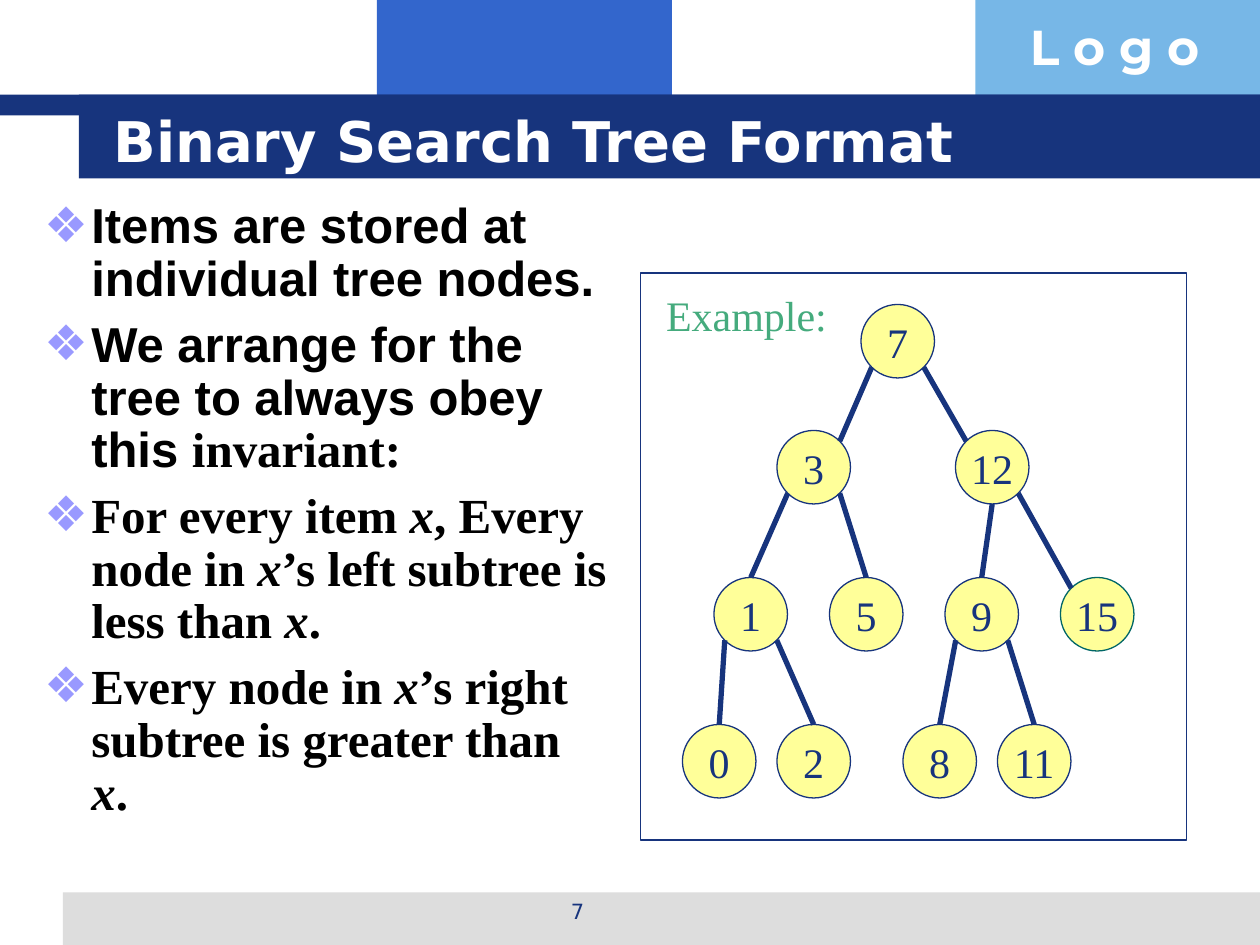
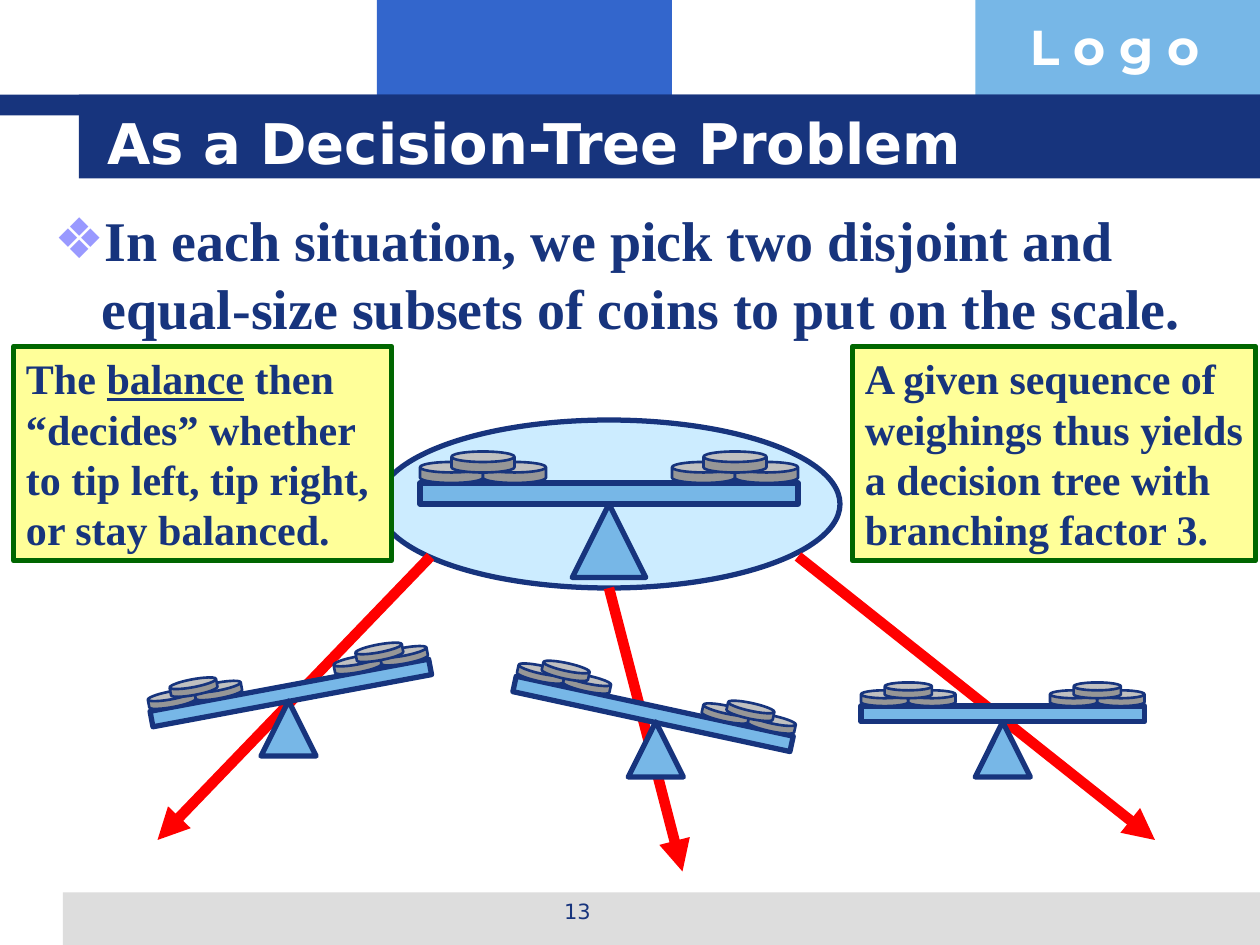
from dataclasses import dataclass, replace
from math import cos, radians, sin

from lxml.etree import SubElement
from pptx import Presentation
from pptx.dml.color import RGBColor
from pptx.enum.shapes import MSO_CONNECTOR as Connector, MSO_SHAPE as Preset
from pptx.enum.text import MSO_ANCHOR as Anchor, MSO_AUTO_SIZE as AutoSize, PP_ALIGN as Align
from pptx.oxml.ns import qn
from pptx.util import Emu, Pt

EMU_PER_PX = 7620


@dataclass(frozen=True)
class Style:
    """Character formatting of a run."""
    font: str
    size: int
    color: str
    bold: bool = False
    italic: bool = False
    underline: bool = False


@dataclass(frozen=True)
class Theme:
    """Colours and text styles shared by the slides."""
    navy: str = "17347D"
    blue: str = "3366CC"
    sky: str = "77B7E7"
    pale: str = "CCECFF"
    grey: str = "DDDDDD"
    coin: str = "969696"
    white: str = "FFFFFF"
    yellow: str = "FFFF99"
    green: str = "006600"
    teal: str = "006666"
    red: str = "FF0000"
    bullet: str = "9999FF"
    title: Style = Style("DejaVu Sans", 32, "FFFFFF", True)
    label: Style = Style("Montserrat", 28, "FFFFFF", True)
    number: Style = Style("DejaVu Sans", 12, "17347D")
    list_sans: Style = Style("Arial", 28, "000000", True)
    list_serif: Style = Style("Times New Roman", 28, "000000", True)
    lead: Style = Style("Times New Roman", 32, "17347D", True)
    node: Style = Style("Times New Roman", 24, "17347D")
    example: Style = Style("Times New Roman", 24, "45AB7D")
    note: Style = Style("Times New Roman", 24, "17347D", True)


THEME = Theme()

NODES = {
    "7": (855, 325), "3": (775, 445), "12": (945, 445),
    "1": (715, 585), "5": (825, 585), "9": (935, 585), "15": (1045, 585),
    "0": (685, 725), "2": (775, 725), "8": (895, 725), "11": (985, 725),
}
NODE_RADIUS = 35
SITES = {"top": 270, "top left": 225, "top right": 315,
         "bottom": 90, "bottom left": 135, "bottom right": 45}
EDGES = [
    ("7", "bottom left", "3", "top right"), ("7", "bottom right", "12", "top left"),
    ("12", "bottom", "9", "top"), ("12", "bottom right", "15", "top left"),
    ("9", "bottom right", "11", "top"), ("9", "bottom left", "8", "top"),
    ("3", "bottom right", "5", "top"), ("3", "bottom left", "1", "top"),
    ("1", "bottom left", "0", "top"), ("1", "bottom right", "2", "top"),
]
COIN_OFFSETS = [(side + dx, dy) for side in (-120, 120)
                for dx, dy in ((-30, -20), (30, -20), (0, -30))]


def px(value):
    """Convert pixels to EMU."""
    return Emu(round(value * EMU_PER_PX))


def rgb(color):
    """Convert a hex string to a colour."""
    return RGBColor.from_string(color)


def add_runs(paragraph, runs):
    """Add (text, style) runs, turning newlines into line breaks."""
    for text, style in runs:
        for index, line in enumerate(text.split("\n")):
            if index:
                paragraph.add_line_break()
            run = paragraph.add_run()
            run.text = line
            font = run.font
            font.name, font.size = style.font, Pt(style.size)
            font.bold, font.italic, font.underline = style.bold, style.italic, style.underline
            font.color.rgb = rgb(style.color)


def fill_text(shape, runs, align=Align.LEFT, anchor=Anchor.TOP, wrap=False):
    """Write one formatted paragraph into a shape."""
    frame = shape.text_frame
    frame.word_wrap, frame.vertical_anchor = wrap, anchor
    paragraph = frame.paragraphs[0]
    paragraph.alignment = align
    add_runs(paragraph, runs)


def add_preset(shapes, preset, box, fill, line=None, weight=0.75):
    """Add a flat preset shape at a (left, top, width, height) box."""
    shape = shapes.add_shape(preset, *map(px, box))
    shape.shadow.inherit = False
    shape.fill.solid()
    shape.fill.fore_color.rgb = rgb(fill)
    if line:
        shape.line.color.rgb = rgb(line)
        shape.line.width = Pt(weight)
    else:
        shape.line.fill.background()
    return shape


def add_line(slide, start, end, color, weight, arrow=False):
    """Add a straight connector, with an arrowhead at its end if asked."""
    connector = slide.shapes.add_connector(Connector.STRAIGHT, *map(px, (*start, *end)))
    connector.line.color.rgb = rgb(color)
    connector.line.width = Pt(weight)
    properties = connector.element.spPr
    if arrow:
        SubElement(properties.find(qn("a:ln")), qn("a:tailEnd"), type="triangle")
    SubElement(properties, qn("a:effectLst"))


def add_label(slide, box, text, style, align=Align.LEFT, wrap=True):
    """Add a one-line text box."""
    label = slide.shapes.add_textbox(*map(px, box))
    fill_text(label, [(text, style)], align, wrap=wrap)
    return label


def place(placeholder, box):
    """Move a placeholder to a box and switch off its autofit."""
    placeholder.left, placeholder.top, placeholder.width, placeholder.height = map(px, box)
    placeholder.text_frame.auto_size = AutoSize.NONE


def set_title(slide, box, text):
    """Fill the title placeholder."""
    place(slide.shapes.title, box)
    fill_text(slide.shapes.title, [(text, THEME.title)], anchor=Anchor.MIDDLE, wrap=True)


def set_bullets(slide, box, items, line_spacing, gap):
    """Fill the body placeholder with bulleted paragraphs."""
    body = slide.placeholders[1]
    place(body, box)
    for index, runs in enumerate(items):
        frame = body.text_frame
        paragraph = frame.add_paragraph() if index else frame.paragraphs[0]
        properties = paragraph._p.get_or_add_pPr()
        properties.set("marL", str(px(45)))
        properties.set("indent", str(px(-45)))
        bullet_color = SubElement(properties, qn("a:buClr"))
        SubElement(bullet_color, qn("a:srgbClr"), val=THEME.bullet)
        SubElement(properties, qn("a:buChar"), char="❖")
        paragraph.line_spacing = line_spacing
        paragraph.space_before = Pt(gap if index else 0)
        add_runs(paragraph, runs)


def add_frame(slide, layout):
    """Draw the shared bands and label, then hand them to the layout."""
    bands = [
        ((359, 0, 281, 110), THEME.blue), ((929, 0, 271, 110), THEME.sky),
        ((60, 850, 1140, 50), THEME.grey), ((0, 90, 1200, 20), THEME.navy),
        ((75, 90, 1125, 80), THEME.navy),
    ]
    parts = [add_preset(slide.shapes, Preset.RECTANGLE, box, fill) for box, fill in bands]
    parts.append(add_label(slide, (969, 10, 231, 68), "L o g o", THEME.label))
    for number, part in enumerate(parts, 100):
        part.element.xpath(".//p:cNvPr")[0].set("id", str(number))
        layout.shapes.element.append(part.element)


def add_page_number(slide, number):
    """Write the page number in the footer band."""
    add_label(slide, (410, 850, 280, 42), str(number), THEME.number, Align.CENTER)


def node_site(name, site):
    """Return the point of a node's rim at a named site."""
    x, y = NODES[name]
    angle = radians(SITES[site])
    return x + NODE_RADIUS * cos(angle), y + NODE_RADIUS * sin(angle)


def add_tree(slide):
    """Draw the search tree: nodes first, then edges."""
    size = 2 * NODE_RADIUS
    for name, (x, y) in NODES.items():
        outline = THEME.teal if name == "15" else THEME.navy
        box = (x - NODE_RADIUS, y - NODE_RADIUS, size, size)
        node = add_preset(slide.shapes, Preset.OVAL, box, THEME.yellow, outline)
        fill_text(node, [(name, THEME.node)], Align.CENTER, Anchor.MIDDLE)
    for parent, parent_site, child, child_site in EDGES:
        add_line(slide, node_site(parent, parent_site), node_site(child, child_site),
                 THEME.navy, 3)


def add_balance(slide, x, y, scale=0.75, tilt=0):
    """Draw a balance with its beam centred at (x, y) and tilted in degrees."""
    shapes = slide.shapes.add_group_shape().shapes
    sine, cosine = sin(radians(tilt)), cos(radians(tilt))

    def add_part(preset, dx, dy, width, height, fill, weight, rotation):
        width, height = width * scale, height * scale
        box = (x + dx - width / 2, y + dy - height / 2, width, height)
        part = add_preset(shapes, preset, box, fill, THEME.navy, weight)
        part.rotation = rotation
        return part

    add_part(Preset.RECTANGLE, 0, 0, 360, 20, THEME.sky, 3, tilt)
    add_part(Preset.ISOSCELES_TRIANGLE, 12 * sine, 45 * scale, 70, 70, THEME.sky, 3, 0)
    for dx, dy in COIN_OFFSETS:
        dx, dy = dx * scale, dy * scale
        coin = add_part(Preset.CAN, dx * cosine - dy * sine, dx * sine + dy * cosine,
                        60, 20, THEME.coin, 1.5, tilt)
        coin.adjustments[0] = 0.5


def add_note(slide, box, runs):
    """Add a yellow note with a green border."""
    note = add_preset(slide.shapes, Preset.RECTANGLE, box, THEME.yellow, THEME.green, 3)
    fill_text(note, runs)
    note.text_frame.auto_size = AutoSize.SHAPE_TO_FIT_TEXT


def build_search_tree(slide):
    """Build the binary search tree slide."""
    sans, serif = THEME.list_sans, THEME.list_serif
    variable = ("x", replace(serif, italic=True))
    set_title(slide, (96, 96, 1024, 74), "Binary Search Tree Format")
    set_bullets(slide, (30, 186, 560, 641), [
        [("Items are stored at individual tree nodes.", sans)],
        [("We arrange for the tree to always obey this ", sans), ("invariant:", serif)],
        [("For every item ", serif), variable, (", Every node in ", serif), variable,
         ("’s left subtree is less than ", serif), variable, (".", serif)],
        [("Every node in ", serif), variable, ("’s right subtree is greater than ", serif),
         variable, (".", serif)],
    ], 0.9, 7)
    add_page_number(slide, 7)
    add_preset(slide.shapes, Preset.RECTANGLE, (610, 260, 520, 540), THEME.white, THEME.navy)
    add_tree(slide)
    add_label(slide, (616, 270, 190, 60), "Example:", THEME.example, Align.CENTER, wrap=False)


def build_decision_tree(slide):
    """Build the coin weighing slide."""
    note = THEME.note
    set_title(slide, (90, 60, 1020, 150), "As a Decision-Tree Problem")
    set_bullets(slide, (40, 190, 1130, 650), [
        [("In each situation, we pick two disjoint and equal-size subsets of coins "
          "to put on the scale.", THEME.lead)],
    ], 1.0, 8)
    add_page_number(slide, 13)
    add_preset(slide.shapes, Preset.OVAL, (360, 400, 440, 160), THEME.pale, THEME.navy, 3)
    add_balance(slide, 580, 470, scale=1)
    for start, end in (((760, 530), (1100, 800)), ((410, 530), (150, 800)),
                       ((580, 560), (650, 830))):
        add_line(slide, start, end, THEME.red, 6, arrow=True)
    add_note(slide, (13, 330, 360, 204), [
        ("The ", note), ("balance", replace(note, underline=True)),
        (" then\n“decides” whether\nto tip left, tip right,\nor stay balanced.", note)])
    add_note(slide, (812, 330, 384, 204), [
        ("A given sequence of\nweighings thus yields\na decision tree with\n"
         "branching factor 3.", note)])
    for x, y, tilt in ((622, 680, 12.2), (955, 680, 0), (277, 660, -10.6)):
        add_balance(slide, x, y, tilt=tilt)


def main():
    """Build both slides and save the presentation."""
    presentation = Presentation()
    presentation.slide_width, presentation.slide_height = px(1200), px(900)
    layout = presentation.slide_layouts[1]
    tree_slide, decision_slide = (presentation.slides.add_slide(layout) for _ in range(2))
    add_frame(tree_slide, layout)
    build_search_tree(tree_slide)
    build_decision_tree(decision_slide)
    presentation.save("out.pptx")


if __name__ == "__main__":
    main()
